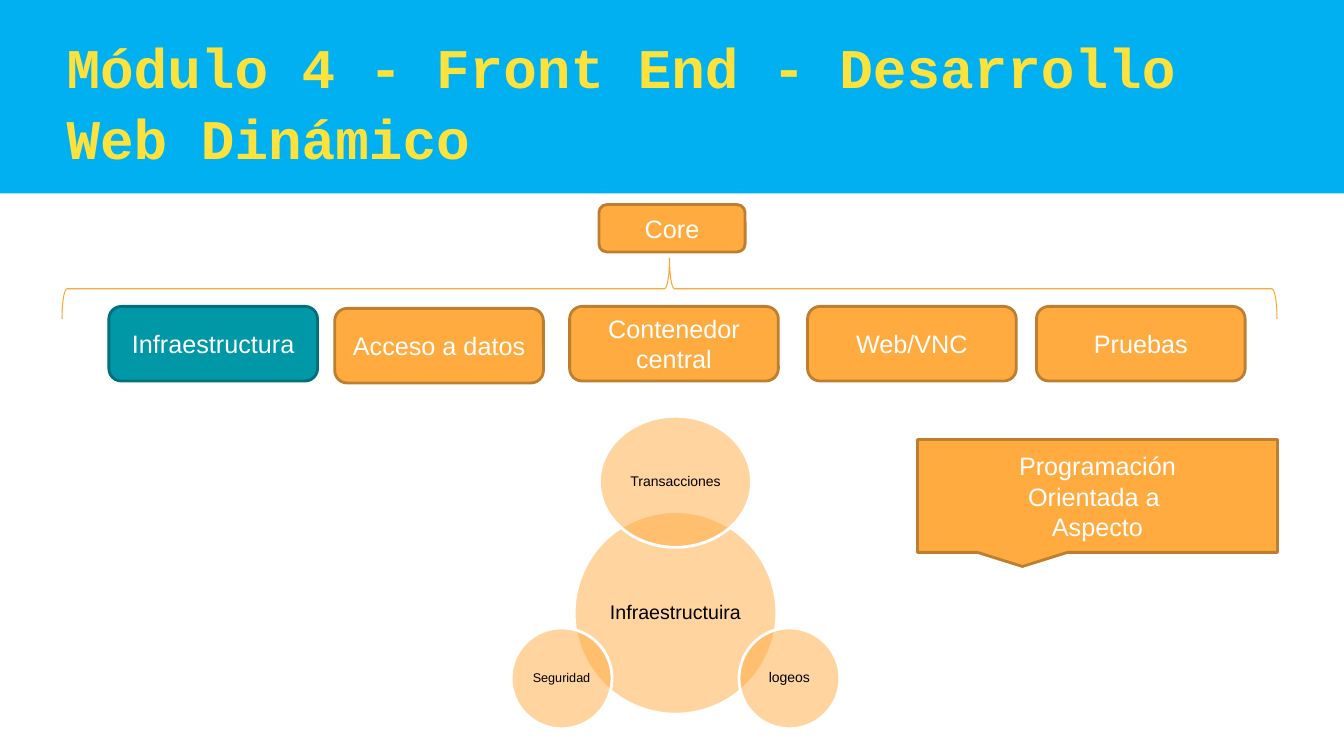
import pptx
import pptx.util
import pptx.dml.color
import pptx.enum.shapes
import pptx.enum.text
from lxml import etree

Inches = pptx.util.Inches
Pt = pptx.util.Pt
RGBColor = pptx.dml.color.RGBColor
Shape = pptx.enum.shapes.MSO_SHAPE
Align = pptx.enum.text.PP_ALIGN
Anchor = pptx.enum.text.MSO_ANCHOR

SKY = RGBColor(0x00, 0xB0, 0xF0)
YELLOW = RGBColor(0xFD, 0xE2, 0x3D)
ORANGE = RGBColor(0xFF, 0xAB, 0x40)
BROWN = RGBColor(0xBD, 0x7F, 0x2F)
BRACE = RGBColor(0xFE, 0xA8, 0x3A)
TEAL = RGBColor(0x00, 0x97, 0xA7)
DARK_TEAL = RGBColor(0x00, 0x70, 0x7C)
WHITE = RGBColor(0xFF, 0xFF, 0xFF)
BLACK = RGBColor(0x00, 0x00, 0x00)

TITLE = "Módulo 4 - Front End - Desarrollo Web Dinámico"
ROOT = "Core"
MODULES = [
    ("Infraestructura", 1.08, 3.04, TEAL, DARK_TEAL),
    ("Acceso a datos", 3.32, 3.06, ORANGE, BROWN),
    ("Contenedor central", 5.65, 3.04, ORANGE, BROWN),
    ("Web/VNC", 8.01, 3.04, ORANGE, BROWN),
    ("Pruebas", 10.28, 3.04, ORANGE, BROWN),
]
MODULE_SIZE = (2.07, 0.74)
CIRCLES = [
    ("Infraestructuira", 0, 0, 2.01, 2.01, 14),
    ("Transacciones", 0, -1.3, 1.51, 1.3, 10),
    ("logeos", 1.13, 0.65, 1, 1, 10),
    ("Seguridad", -1.13, 0.65, 1, 1, 9),
]
CIRCLES_CENTER = (6.7, 6.08)
CALLOUT = ["Programación", "Orientada a ", "Aspecto"]


def write(shape, *lines, size=18, font="Arial", color=WHITE, bold=False,
          align=Align.CENTER, anchor=Anchor.MIDDLE, spacing=1.0,
          insets=(0.1, 0.05, 0.1, 0.05)):
    frame = shape.text_frame
    frame.word_wrap = True
    frame.auto_size = pptx.enum.text.MSO_AUTO_SIZE.NONE
    frame.vertical_anchor = anchor
    (frame.margin_left, frame.margin_top,
     frame.margin_right, frame.margin_bottom) = map(Inches, insets)
    for index, line in enumerate(lines):
        para = frame.add_paragraph() if index else frame.paragraphs[0]
        para.alignment = align
        para.line_spacing = spacing
        span = para.add_run()
        span.text = line
        span.font.size = Pt(size)
        span.font.name = font
        span.font.bold = bold
        span.font.color.rgb = color


def draw(page, kind, left, top, width, height, fill=None, line=None,
         weight=2, opacity=100):
    shape = page.shapes.add_shape(
        kind, Inches(left), Inches(top), Inches(width), Inches(height))
    shape.shadow.inherit = False
    if fill is None:
        shape.fill.background()
    else:
        shape.fill.solid()
        shape.fill.fore_color.rgb = fill
    if opacity < 100:
        tint = shape.element.spPr.find(
            "{*}solidFill/{*}srgbClr")
        namespace = etree.QName(tint).namespace
        etree.SubElement(tint, f"{{{namespace}}}alpha", val=str(opacity * 1000))
    if line is None:
        shape.line.fill.background()
    else:
        shape.line.color.rgb = line
        shape.line.width = Pt(weight)
    return shape


def main():
    deck = pptx.Presentation()
    deck.slide_width = Inches(13.33)
    deck.slide_height = Inches(7.5)
    page = deck.slides.add_slide(deck.slide_layouts[5])

    title = page.shapes.title
    title.left, title.top = Inches(0.61), Inches(0.17)
    title.width, title.height = Inches(12.05), Inches(1.31)
    write(title, TITLE, size=40, font="Courier New", color=YELLOW, bold=True,
          align=Align.LEFT, anchor=Anchor.TOP, spacing=1.06,
          insets=(0.05, 0.11, 0.05, 0.05))
    band = draw(page, Shape.RECTANGLE, 0, -0.02, 13.33, 1.94, SKY)
    title.element.addprevious(band.element)

    root = draw(page, Shape.ROUNDED_RECTANGLE, 5.94, 2.03, 1.45, 0.47, ORANGE, BROWN)
    write(root, ROOT)
    brace = draw(page, Shape.LEFT_BRACE, 6.34, -3.16, 0.6, 12.05,
                 line=BRACE, weight=0.75)
    brace.rotation = 90

    for name, left, top, fill, line in MODULES:
        module = draw(page, Shape.ROUNDED_RECTANGLE, left, top, *MODULE_SIZE, fill, line)
        write(module, name)

    center_x, center_y = CIRCLES_CENTER
    for name, across, down, width, height, size in CIRCLES:
        circle = draw(page, Shape.OVAL, center_x + across - width / 2,
                      center_y + down - height / 2, width, height,
                      ORANGE, WHITE, opacity=50)
        write(circle, name, size=size, color=BLACK, spacing=0.9, insets=(0.01,) * 4)

    callout = draw(page, Shape.RECTANGULAR_CALLOUT, 9.1, 4.36, 3.57, 1.12, ORANGE, BROWN)
    write(callout, *CALLOUT)

    deck.save("out.pptx")


if __name__ == "__main__":
    main()
